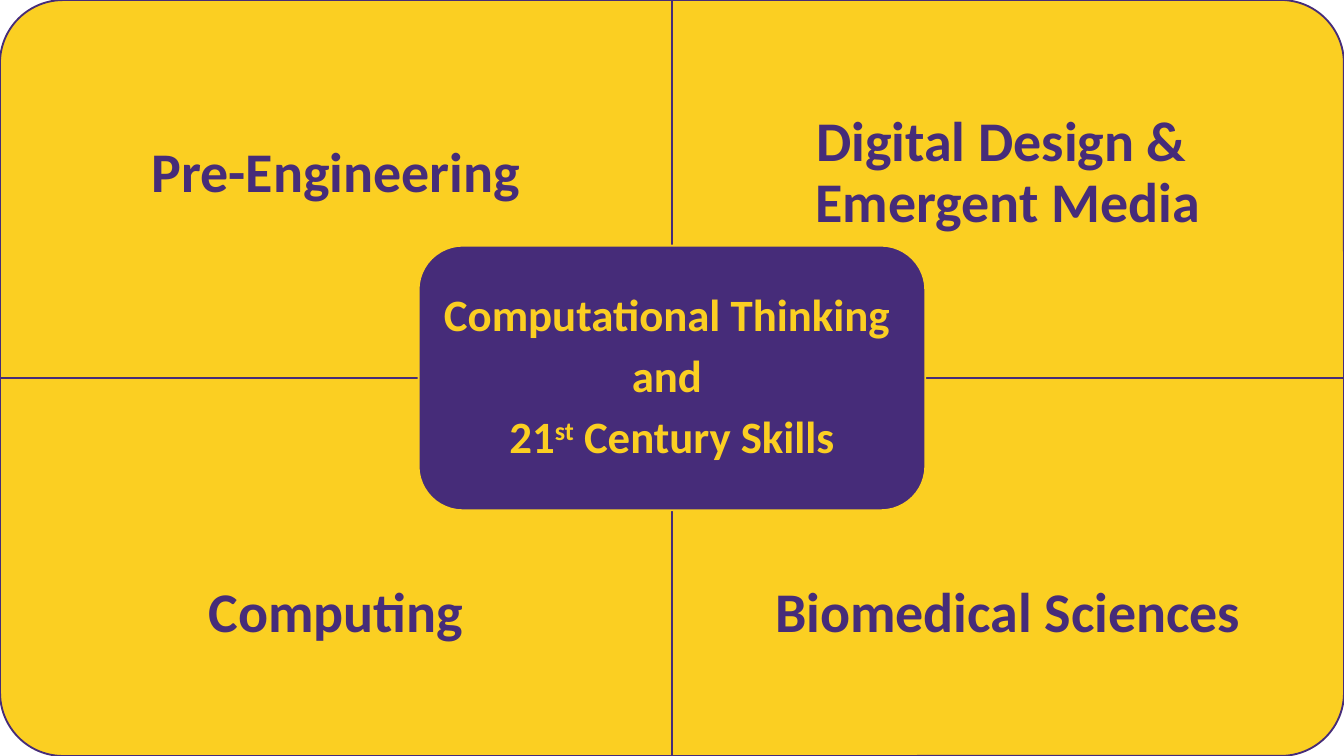
from dataclasses import dataclass

import pptx
import pptx.dml.color
import pptx.enum.shapes
import pptx.enum.text
import pptx.util

Inches, Pt = pptx.util.Inches, pptx.util.Pt
Color = pptx.dml.color.RGBColor
Kind = pptx.enum.shapes.MSO_SHAPE


@dataclass(frozen=True)
class Theme:
    font: str = "Calibri"
    gold: str = "FBCF22"
    plum: str = "462C79"
    title: int = 30
    core: int = 24
    round: float = 0.167


@dataclass(frozen=True)
class Panel:
    col: int
    row: int
    turn: int
    text: str
    inset: float
    drop: float = 0  # extra space above the label


THEME = Theme()
WIDE, HIGH = 10, 5.625
COL, ROW = WIDE / 2, HIGH / 2
LABEL = 0.75  # share of a panel's height, measured from its outer edge
CORE_W, CORE_H = WIDE * 0.377, HIGH * 0.35

PANELS = [
    Panel(0, 0, 270, "Pre-Engineering", 0.19, 0.48),
    Panel(1, 0, 0, "Digital Design & \nEmergent Media", 0.19, 0.48),
    Panel(0, 1, 180, "Computing", 0.21),
    Panel(1, 1, 90, "Biomedical Sciences", 0.23),
]
# Each line is a list of (text, raised) runs
LINES = [
    [("Computational Thinking ", False)],
    [("and ", False)],
    [("21", False), ("st", True), (" Century Skills", False)],
]


def add_card(slide, kind, mid_x: float, mid_y: float, wide: float, high: float,
             fill: str, line: str, turn: int = 0):
    """Draw a rounded card around its centre."""
    if turn % 180:
        wide, high = high, wide
    card = slide.shapes.add_shape(kind, Inches(mid_x - wide / 2), Inches(mid_y - high / 2),
                                  Inches(wide), Inches(high))
    card.rotation = turn
    card.adjustments[0] = THEME.round
    card.shadow.inherit = False
    card.fill.solid()
    card.fill.fore_color.rgb = Color.from_string(fill)
    card.line.color.rgb = Color.from_string(line)
    card.line.width = Pt(1)
    return card


def set_frame(frame, inset: float, drop: float = 0) -> None:
    frame.word_wrap = True
    frame.vertical_anchor = pptx.enum.text.MSO_ANCHOR.MIDDLE
    frame.margin_left = frame.margin_right = frame.margin_bottom = Inches(inset)
    frame.margin_top = Inches(inset + drop)


def set_line(para, space: int = 0) -> None:
    para.alignment = pptx.enum.text.PP_ALIGN.CENTER
    para.line_spacing = 0.9
    para.space_before = Pt(space)


def add_run(para, text: str, size: int, color: str, raised: bool = False) -> None:
    run = para.add_run()
    run.text = text
    run.font.name = THEME.font
    run.font.size = Pt(size)
    run.font.bold = True
    run.font.color.rgb = Color.from_string(color)
    if raised:
        run.font._element.set("baseline", "30000")


def add_panel(slide, panel: Panel) -> None:
    """Draw one quarter and its upright label."""
    left, top = panel.col * COL, panel.row * ROW
    add_card(slide, Kind.ROUND_1_RECTANGLE, left + COL / 2, top + ROW / 2, COL, ROW,
             THEME.gold, THEME.plum, panel.turn)
    label_y = top + panel.row * ROW * (1 - LABEL)
    box = slide.shapes.add_textbox(Inches(left), Inches(label_y),
                                   Inches(COL), Inches(ROW * LABEL))
    set_frame(box.text_frame, panel.inset, panel.drop)
    para = box.text_frame.paragraphs[0]
    set_line(para)
    for i, part in enumerate(panel.text.split("\n")):
        if i:
            para.add_line_break()
        add_run(para, part, THEME.title, THEME.plum)


def add_core(slide) -> None:
    """Draw the middle card with its three lines."""
    card = add_card(slide, Kind.ROUNDED_RECTANGLE, WIDE / 2, HIGH / 2, CORE_W, CORE_H,
                    THEME.plum, THEME.gold)
    frame = card.text_frame
    set_frame(frame, 0.08)
    for i, line in enumerate(LINES):
        para = frame.add_paragraph() if i else frame.paragraphs[0]
        set_line(para, 7 if i else 0)
        for text, raised in line:
            add_run(para, text, THEME.core, THEME.gold, raised)


def main() -> None:
    deck = pptx.Presentation()
    deck.slide_width, deck.slide_height = Inches(WIDE), Inches(HIGH)
    slide = deck.slides.add_slide(deck.slide_layouts[6])
    # Four quarters, then the core on top
    for panel in PANELS:
        add_panel(slide, panel)
    add_core(slide)
    deck.save("out.pptx")


if __name__ == "__main__":
    main()
